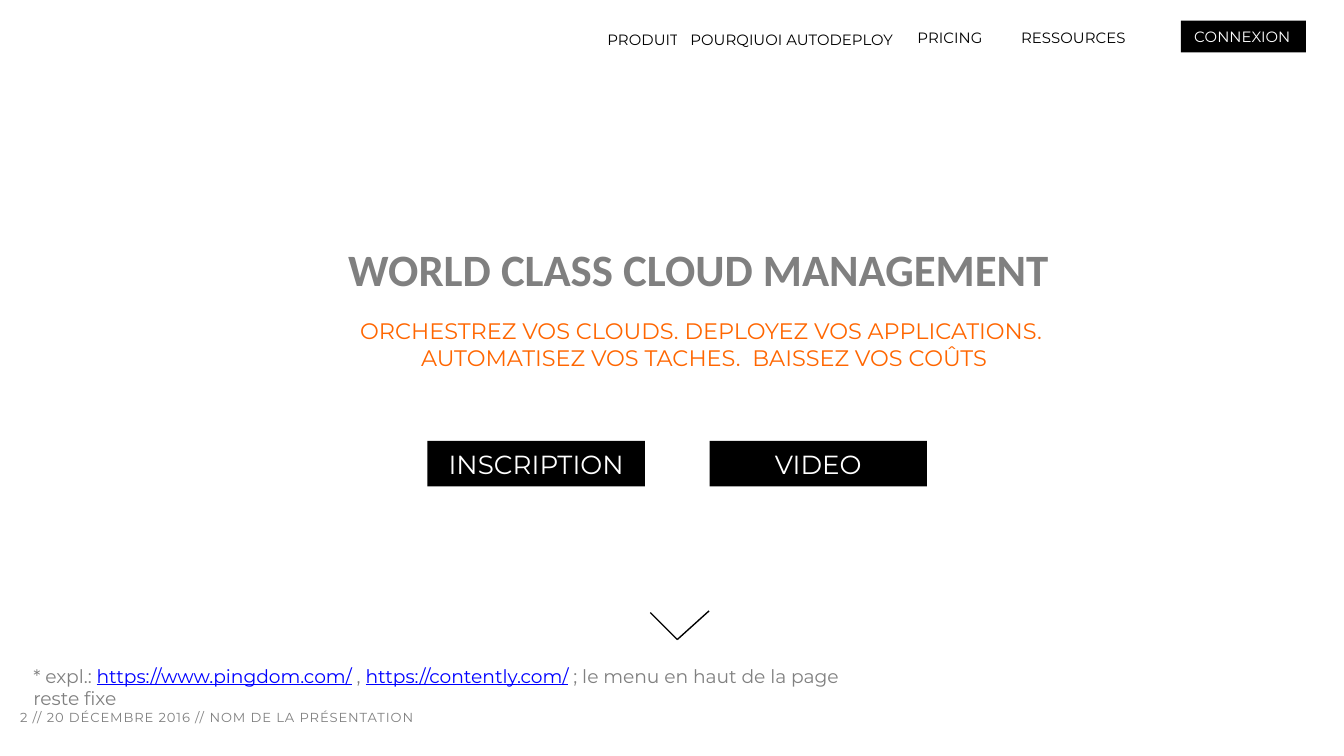
from pptx import Presentation
from pptx.dml.color import RGBColor
from pptx.enum.shapes import MSO_CONNECTOR, MSO_SHAPE
from pptx.enum.text import MSO_ANCHOR, MSO_AUTO_SIZE, PP_ALIGN
from pptx.oxml.ns import qn
from pptx.util import Cm, Pt
from lxml.etree import SubElement

COLORS = {"black": "000000", "white": "FFFFFF", "grey": "808080",
          "footer": "7F7F7F", "orange": "FF6600", "link": "0000FF"}

TITLE = "WORLD CLASS CLOUD MANAGEMENT"
TAGLINE = [["ORCHESTREZ VOS CLOUDS. DEPLOYEZ VOS APPLICATIONS. "],
           ["AUTOMATISEZ VOS TACHES.  BAISSEZ VOS COÛTS"]]
FOOTER = [[("2 // 20 DÉCEMBRE 2016 // ", "footer"), "NOM DE LA PRÉSENTATION"]]
NOTE = [["* expl.: ", ("https://www.pingdom.com/", "link"), " , ",
         ("https://contently.com/", "link"),
         " ; le menu en haut de la page reste fixe"]]
MENU = [
    ("CONNEXION", 22.32, 0.39, 2.36, "black", "white"),
    ("PRODUIT", 11.23, 0.45, 1.85, "white", "black"),
    ("PRICING", 17.09, 0.41, 1.73, "white", "black"),
    ("RESSOURCES", 19.05, 0.41, 2.51, "white", "black"),
    ("POURQIUOI AUTODEPLOY", 12.8, 0.45, 4.29, "white", "black"),
]
MENU_H = 0.6
BUTTONS = ["INSCRIPTION", "VIDEO"]
BUTTON_X, BUTTON_Y, BUTTON_W, BUTTON_H, BUTTON_GAP = 8.08, 8.33, 4.11, 0.86, 1.22
CHEVRON = [((12.29, 11.57), (12.8, 12.08)), ((13.4, 11.54), (12.8, 12.08))]


def rgb(name):
    return RGBColor.from_string(COLORS[name])


def set_text(sp, paras, size, color, font="Montserrat", bold=False, align=PP_ALIGN.LEFT,
             anchor=MSO_ANCHOR.TOP, wrap=True, insets=(0.25, 0.13), spacing=None):
    tf = sp.text_frame
    tf.word_wrap = wrap
    tf.auto_size = MSO_AUTO_SIZE.NONE
    tf.vertical_anchor = anchor
    tf.margin_left = tf.margin_right = Cm(insets[0])
    tf.margin_top = tf.margin_bottom = Cm(insets[1])
    for i, runs in enumerate(paras):
        p = tf.add_paragraph() if i else tf.paragraphs[0]
        p.alignment = align
        for run in runs:
            text, name = (run, color) if isinstance(run, str) else run
            r = p.add_run()
            r.text = text
            r.font.size = Pt(size)
            r.font.name = font
            r.font.bold = bold
            r.font.underline = name == "link"
            r.font.color.rgb = rgb(name)
            if spacing:
                r.font._element.set("spc", str(int(spacing * 100)))


def add_text(s, x, y, w, h, paras, **fmt):
    set_text(s.shapes.add_textbox(Cm(x), Cm(y), Cm(w), Cm(h)), paras, **fmt)


def add_box(s, x, y, w, h, text, fill, **fmt):
    sp = s.shapes.add_shape(MSO_SHAPE.RECTANGLE, Cm(x), Cm(y), Cm(w), Cm(h))
    sp.shadow.inherit = False
    sp.fill.solid()
    sp.fill.fore_color.rgb = rgb(fill)
    sp.line.fill.background()
    set_text(sp, [[text]], anchor=MSO_ANCHOR.MIDDLE, **fmt)


def add_line(s, start, end):
    cx = s.shapes.add_connector(MSO_CONNECTOR.STRAIGHT, *map(Cm, start + end))
    cx.line.color.rgb = rgb("black")
    cx.line.width = Pt(0.75)
    SubElement(cx._element.spPr, qn("a:effectLst"))


def main():
    prs = Presentation()
    prs.slide_width, prs.slide_height = Cm(25.4), Cm(14.28)
    s = prs.slides.add_slide(prs.slide_layouts[5])

    title = s.shapes.title
    title.left, title.top, title.width, title.height = map(Cm, (4.83, 4.47, 16.74, 1.22))
    set_text(title, [[TITLE]], size=24, color="grey", font="Calibri", bold=True,
             align=PP_ALIGN.CENTER, insets=(0.25, 0.1))
    add_text(s, 4.09, 5.89, 18.44, 1.22, TAGLINE, size=12, color="orange",
             align=PP_ALIGN.CENTER, insets=(0.25, 0.1))
    add_text(s, 0.38, 13.41, 10.82, 0.3, FOOTER, size=7, color="grey",
             insets=(0, 0), spacing=0.5)

    for text, x, y, w, fill, color in MENU:
        add_box(s, x, y, w, MENU_H, text, fill, size=8, color=color, wrap=False)
    for i, text in enumerate(BUTTONS):
        x = BUTTON_X + i * (BUTTON_W + BUTTON_GAP)
        add_box(s, x, BUTTON_Y, BUTTON_W, BUTTON_H, text, "black", size=14,
                color="white", align=PP_ALIGN.CENTER)
    for start, end in CHEVRON:
        add_line(s, start, end)
    add_text(s, 0.38, 12.42, 16.38, 0.69, NOTE, size=10, color="grey")

    prs.save("out.pptx")


if __name__ == "__main__":
    main()
